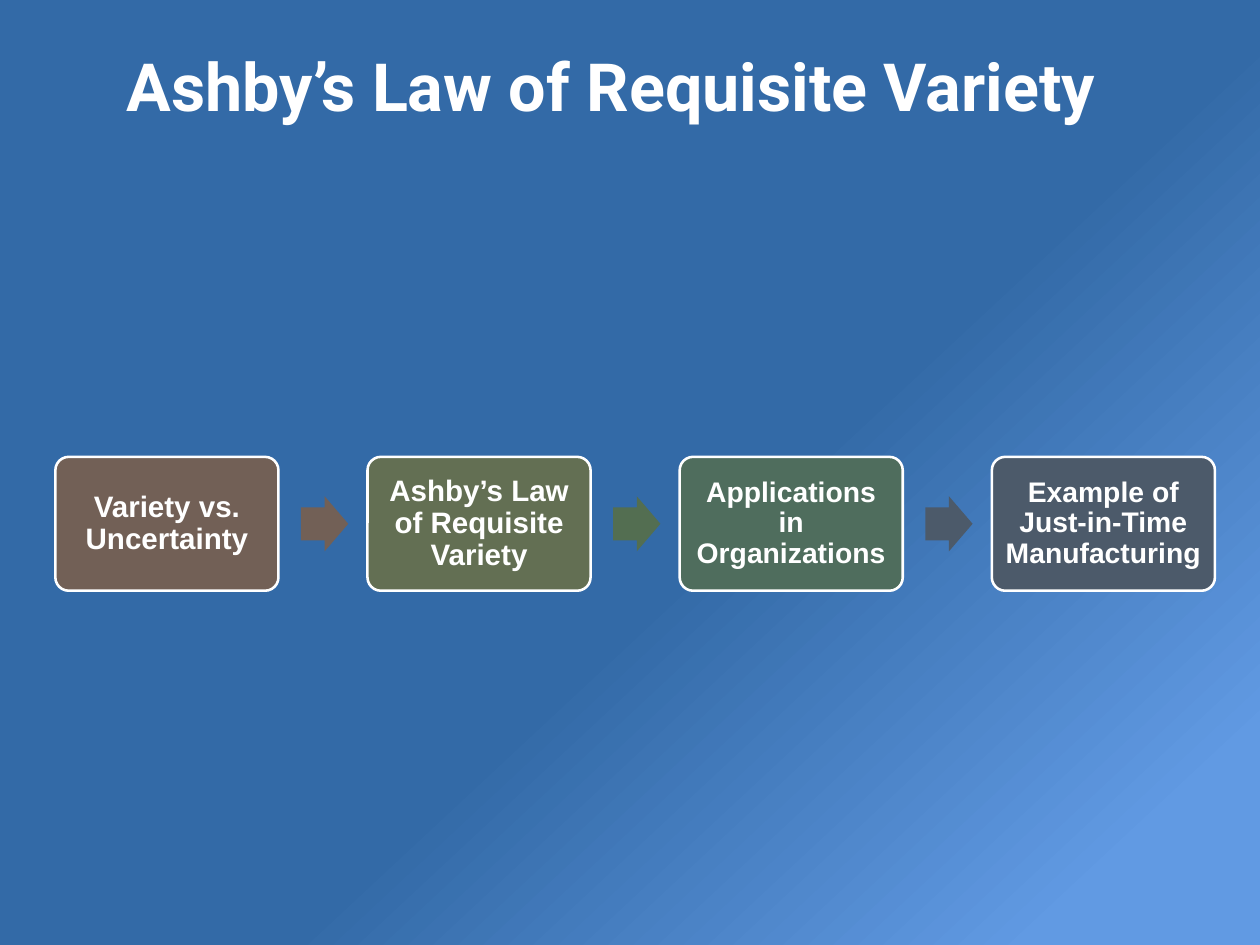
from pptx import Presentation
from pptx.dml.color import RGBColor
from pptx.enum.shapes import MSO_SHAPE
from pptx.enum.text import MSO_ANCHOR, PP_ALIGN
from pptx.util import Pt

ROUND_RECT = MSO_SHAPE.ROUNDED_RECTANGLE
RIGHT_ARROW = MSO_SHAPE.RIGHT_ARROW
MIDDLE = MSO_ANCHOR.MIDDLE
CENTER = PP_ALIGN.CENTER

TITLE = "Ashby’s Law of Requisite Variety"
# text, font size, box colour, colour of the arrow that follows
STEPS = [
    ("Variety vs. Uncertainty", 24, "726056", "726056"),
    ("Ashby’s Law of Requisite Variety", 24, "636F53", "536E51"),
    ("Applications in Organizations", 23, "4F6D5D", "4C5A6A"),
    ("Example of Just-in-Time Manufacturing", 23, "4C5A6A", None),
]
BACKGROUND = [(0.57, "336AA7"), (0.9, "619AE3")]
WHITE = "FFFFFF"

SLIDE_W, SLIDE_H = 1024, 768
TITLE_BOX = (44.6, 15.1, 904.3, 108)
BOX_W, BOX_H = 181.3, 108.8
ARROW_W, ARROW_H = 38.4, 44.8
LEFT, MID_Y = 45, 425.7
PITCH = 253.7
ARROW_OFFSET = 199.6


def rgb(value):
    return RGBColor.from_string(value)


def write(sp, text, font, size, inset, spacing=1.0):
    tf = sp.text_frame
    frame = {"word_wrap": True, "vertical_anchor": MIDDLE}
    for side in ("left", "top", "right", "bottom"):
        frame[f"margin_{side}"] = Pt(inset)
    for name, value in frame.items():
        setattr(tf, name, value)
    p = tf.paragraphs[0]
    p.alignment, p.line_spacing = CENTER, spacing
    r = p.add_run()
    r.text = text
    for name, value in {"name": font, "size": Pt(size), "bold": True}.items():
        setattr(r.font, name, value)
    r.font.color.rgb = rgb(WHITE)


def add_filled(slide, kind, x, w, h, color, adjustments):
    """Add a plain shape centred on the row of steps."""
    sp = slide.shapes.add_shape(kind, Pt(x), Pt(MID_Y - h / 2), Pt(w), Pt(h))
    sp.shadow.inherit = False
    sp.fill.solid()
    sp.fill.fore_color.rgb = rgb(color)
    sp.line.fill.background()
    for i, value in enumerate(adjustments):
        sp.adjustments[i] = value
    return sp


def main():
    prs = Presentation()
    prs.slide_width, prs.slide_height = Pt(SLIDE_W), Pt(SLIDE_H)
    slide = prs.slides.add_slide(prs.slide_layouts[6])

    fill = slide.background.fill
    fill.gradient()
    fill.gradient_angle = 360 - 47
    for stop, (position, color) in zip(fill.gradient_stops, BACKGROUND):
        stop.position = position
        stop.color.rgb = rgb(color)

    title = slide.shapes.add_textbox(*map(Pt, TITLE_BOX))
    write(title, TITLE, "Roboto", 54, 4.3)

    for i, (text, size, color, arrow_color) in enumerate(STEPS):
        x = LEFT + i * PITCH
        box = add_filled(slide, ROUND_RECT, x, BOX_W, BOX_H, color, [0.1])
        box.line.color.rgb = rgb(WHITE)
        box.line.width = Pt(2.08)
        write(box, text, "Arial", size, 7.2, 0.9)
        if arrow_color:
            add_filled(slide, RIGHT_ARROW, x + ARROW_OFFSET, ARROW_W, ARROW_H,
                       arrow_color, [0.6, 0.5])

    prs.save("out.pptx")


if __name__ == "__main__":
    main()
